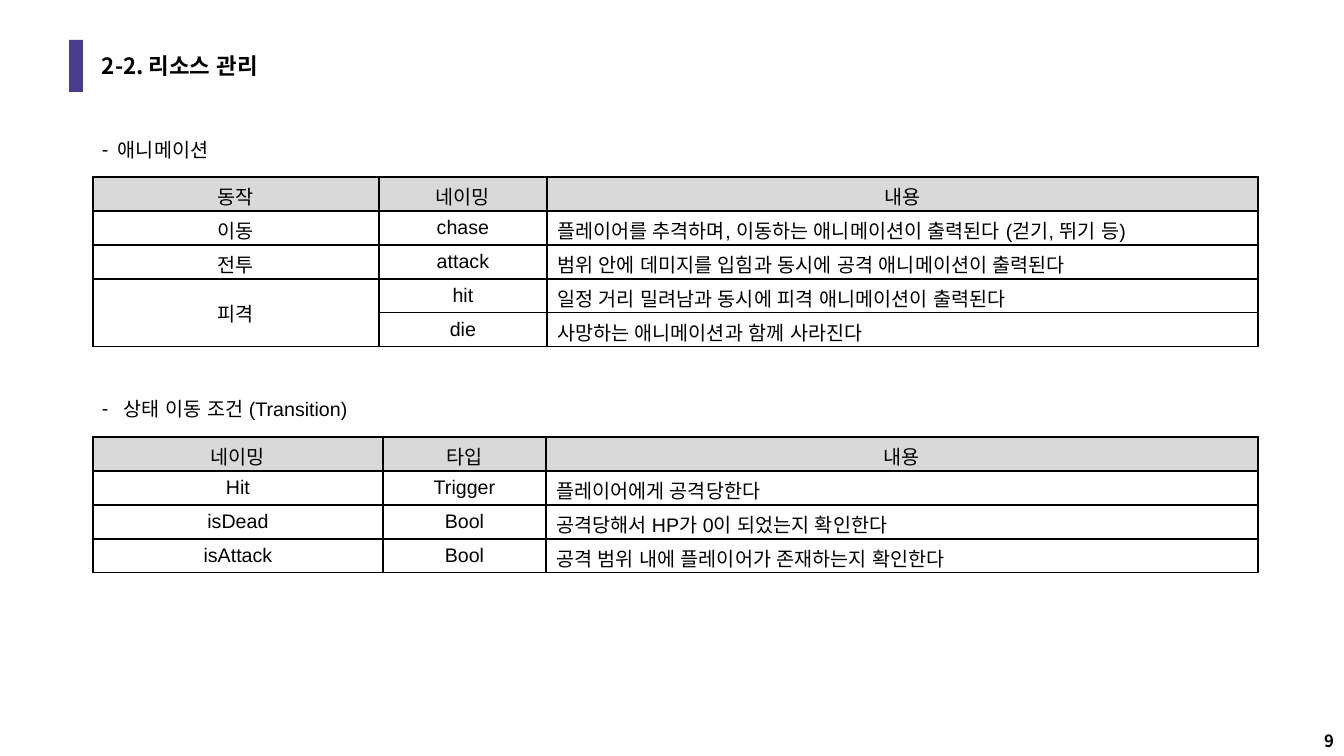
from pptx import Presentation
from pptx import util as u
from pptx.dml.color import RGBColor
from pptx.enum import lang, shapes, text
from pptx.oxml import parse_xml
from pptx.oxml.ns import nsdecls, qn
from lxml import etree

EMU_PER_PX = 914400 / 100.8
COLORS = {"accent": "4B3C8F", "header": "D9D9D9", "cell": "FFFFFF", "ink": "000000"}
BODY_FONT, HEADING_FONT = "Arial", "Noto Sans CJK KR"
LEFT, CENTER, RIGHT = text.PP_ALIGN.LEFT, text.PP_ALIGN.CENTER, text.PP_ALIGN.RIGHT
TOP, MIDDLE, BOTTOM = text.MSO_ANCHOR.TOP, text.MSO_ANCHOR.MIDDLE, text.MSO_ANCHOR.BOTTOM
ROW_HEIGHT = 34


def px(length):
    return u.Emu(round(length * EMU_PER_PX))


def color(name):
    return RGBColor.from_string(COLORS[name])


class SlideBuilder:
    def __init__(self, presentation):
        self.slide = presentation.slides.add_slide(presentation.slide_layouts[6])

    def add_words(self, paragraph, words, size=14, font=BODY_FONT, bold=False, align=LEFT):
        paragraph.alignment = align
        run = paragraph.add_run()
        run.text = words
        run.font.size = u.Pt(size)
        run.font.name = font
        run.font.bold = bold
        run.font.color.rgb = color("ink")
        run.font.language_id = lang.MSO_LANGUAGE_ID.KOREAN
        east_asian = etree.SubElement(run._r.get_or_add_rPr(), qn("a:ea"))
        east_asian.set("typeface", HEADING_FONT)

    def bar(self, left, top, width, height):
        shape = self.slide.shapes.add_shape(
            shapes.MSO_SHAPE.RECTANGLE, px(left), px(top), px(width), px(height))
        shape.shadow.inherit = False
        shape.fill.solid()
        shape.fill.fore_color.rgb = color("accent")
        shape.line.fill.background()

    def textbox(self, left, top, width, height, words, anchor=TOP, **style):
        shape = self.slide.shapes.add_textbox(px(left), px(top), px(width), px(height))
        shape.text_frame.word_wrap = True
        shape.text_frame.vertical_anchor = anchor
        paragraph = shape.text_frame.paragraphs[0]
        self.add_words(paragraph, words, **style)
        return paragraph

    def dash_item(self, left, top, width, height, words, indent):
        paragraph = self.textbox(left, top, width, height, words)
        properties = paragraph._p.get_or_add_pPr()
        properties.set("marL", str(px(indent)))
        properties.set("indent", str(-px(indent)))
        etree.SubElement(properties, qn("a:buFont")).set("typeface", BODY_FONT)
        etree.SubElement(properties, qn("a:buChar")).set("char", "-")

    def border(self, cell):
        properties = cell._tc.get_or_add_tcPr()
        for index, side in enumerate(("lnL", "lnR", "lnT", "lnB")):
            properties.insert(index, parse_xml(
                f'<a:{side} {nsdecls("a")} w="12700"><a:solidFill>'
                f'<a:srgbClr val="{COLORS["ink"]}"/></a:solidFill></a:{side}>'))

    def table(self, left, top, widths, rows):
        """Draw rows under a grey header; None continues the cell above."""
        table = self.slide.shapes.add_table(
            len(rows), len(widths), px(left), px(top),
            px(sum(widths)), px(ROW_HEIGHT * len(rows))).table
        for column, width in zip(table.columns, widths):
            column.width = px(width)
        for r, row in enumerate(rows):
            table.rows[r].height = px(ROW_HEIGHT)
            for c, words in enumerate(row):
                cell = table.cell(r, c)
                cell.fill.solid()
                cell.fill.fore_color.rgb = color("cell" if r else "header")
                cell.vertical_anchor = MIDDLE
                self.border(cell)
                if words is None:
                    table.cell(r - 1, c).merge(cell)
                    continue
                is_description = r > 0 and c == len(row) - 1
                self.add_words(cell.text_frame.paragraphs[0], words,
                               align=LEFT if is_description else CENTER)


def main():
    presentation = Presentation()
    presentation.slide_width, presentation.slide_height = px(1344), px(756)
    builder = SlideBuilder(presentation)

    builder.textbox(1252, 716, 92, 40, "9", BOTTOM,
                    size=12, font=HEADING_FONT, bold=True, align=RIGHT)
    builder.bar(69, 40, 14, 52)
    builder.textbox(92, 40, 1159, 52, "2-2. 리소스 관리", MIDDLE,
                    size=16, font=HEADING_FONT, bold=True)

    builder.dash_item(92, 133, 131, 34, "애니메이션", indent=16)
    builder.table(93, 177, (286, 168, 711), [
        ("동작", "네이밍", "내용"),
        ("이동", "chase", "플레이어를 추격하며, 이동하는 애니메이션이 출력된다 (걷기, 뛰기 등)"),
        ("전투", "attack", "범위 안에 데미지를 입힘과 동시에 공격 애니메이션이 출력된다"),
        ("피격", "hit", "일정 거리 밀려남과 동시에 피격 애니메이션이 출력된다"),
        (None, "die", "사망하는 애니메이션과 함께 사라진다"),
    ])

    builder.dash_item(92, 392, 290, 34, "상태 이동 조건 (Transition)", indent=22)
    builder.table(93, 437, (290, 163, 712), [
        ("네이밍", "타입", "내용"),
        ("Hit", "Trigger", "플레이어에게 공격당한다"),
        ("isDead", "Bool", "공격당해서 HP가 0이 되었는지 확인한다"),
        ("isAttack", "Bool", "공격 범위 내에 플레이어가 존재하는지 확인한다"),
    ])
    presentation.save("out.pptx")


if __name__ == "__main__":
    main()
